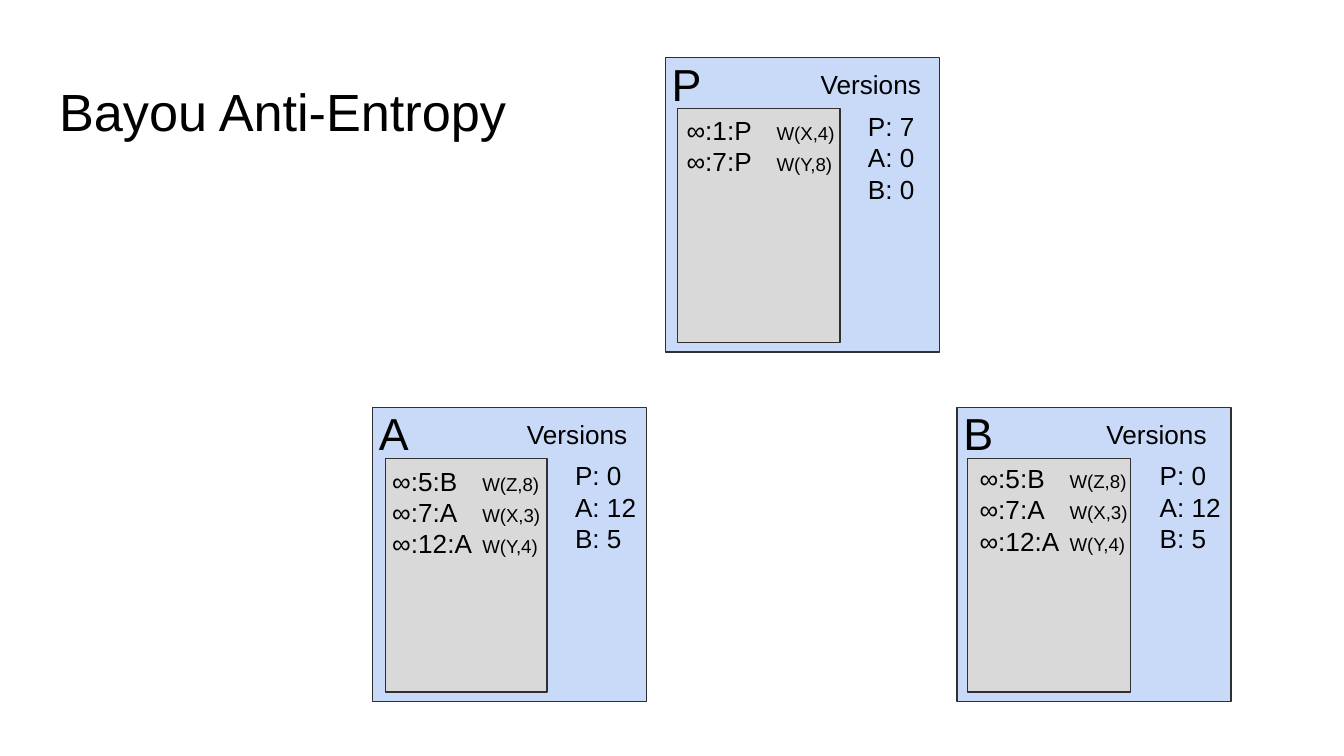
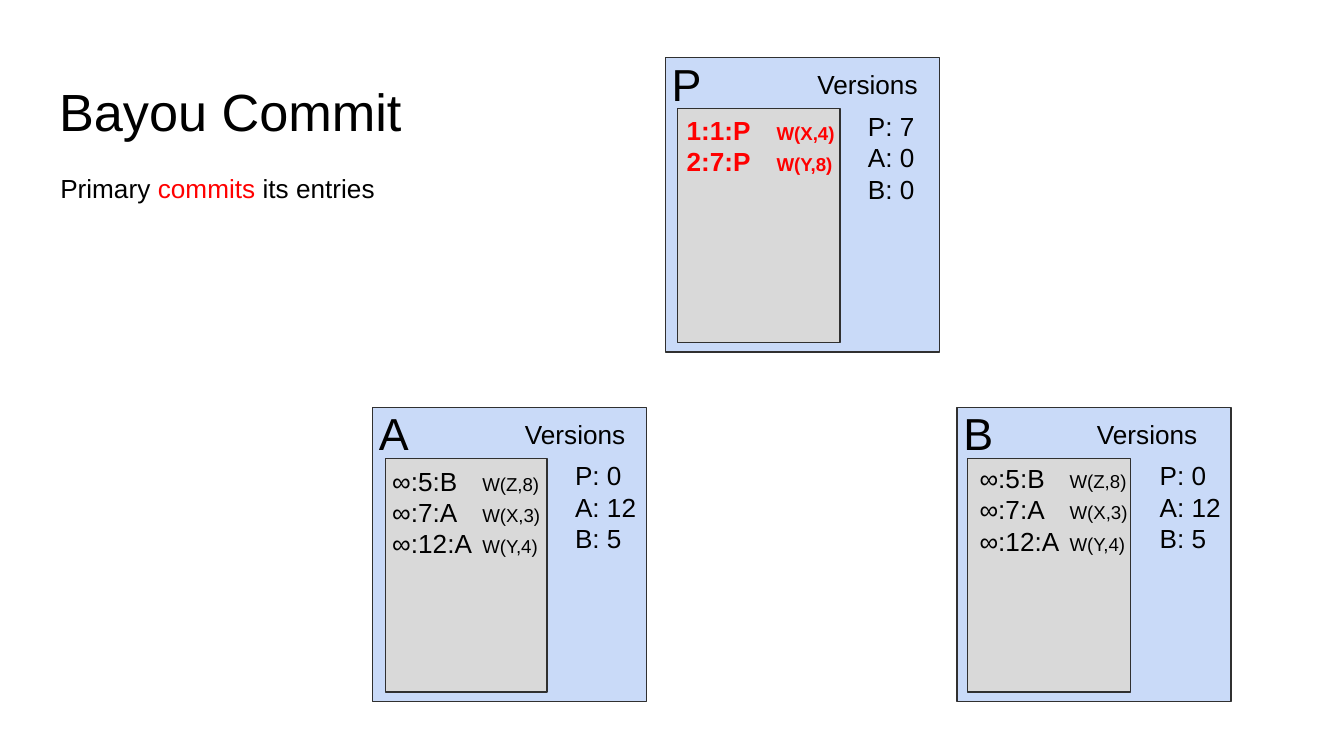
from dataclasses import dataclass

from lxml import etree
from pptx import Presentation
from pptx import util as u
from pptx.dml import color as c
from pptx.enum import shapes, text
from pptx.oxml import ns

FONT = "Arial"
BLACK, RED = "000000", "FF0000"
NODE_FILL, LOG_FILL, OUTLINE = "C9DAF8", "D9D9D9", "303030"
SLIDE_WIDTH = u.Inches(10)
SLIDE_HEIGHT = SLIDE_WIDTH * 9 // 16
MARGIN = u.Inches(0.1)
WRITE_TAB = u.Inches(0.67)
FRAME = {
    "word_wrap": True,
    "auto_size": text.MSO_AUTO_SIZE.NONE,
    "vertical_anchor": text.MSO_ANCHOR.TOP,
    "margin_left": MARGIN,
    "margin_top": MARGIN,
    "margin_right": MARGIN,
    "margin_bottom": MARGIN,
}


@dataclass(frozen=True)
class Run:
    text: str
    size: float = 14
    color: str = BLACK
    bold: bool = False


@dataclass(frozen=True)
class Node:
    """A replica, with the log and entries placed relative to its corner."""
    name: str
    left: float
    top: float
    log_dx: float
    log_width: float
    entries_dx: float
    entries_dy: float
    versions: tuple[str, ...]


@dataclass(frozen=True)
class NodeState:
    label_width: float
    entries: tuple[tuple[str, str], ...]
    committed: bool = False


@dataclass(frozen=True)
class Page:
    title: str
    states: tuple[NodeState, ...]
    note: tuple[Run, ...] = ()


NODES = (
    Node("P", 4.95, 0.43, 0.09, 1.21, 0.06, 0.32, ("P: 7", "A: 0", "B: 0")),
    Node("A", 2.77, 3.03, 0.10, 1.20, 0.05, 0.33, ("P: 0", "A: 12", "B: 5")),
    Node("B", 7.12, 3.03, 0.08, 1.21, 0.07, 0.31, ("P: 0", "A: 12", "B: 5")),
)
TENTATIVE = (("∞:1:P", "W(X,4)"), ("∞:7:P", "W(Y,8)"))
COMMITTED = (("1:1:P", "W(X,4)"), ("2:7:P", "W(Y,8)"))
SHARED = (("∞:5:B", "W(Z,8)"), ("∞:7:A", "W(X,3)"), ("∞:12:A", "W(Y,4)"))

PAGES = (
    Page("Bayou Anti-Entropy", (
        NodeState(1.06, TENTATIVE),
        NodeState(1.07, SHARED),
        NodeState(1.15, SHARED),
    )),
    Page("Bayou Commit", (
        NodeState(1.11, COMMITTED, committed=True),
        NodeState(1.10, SHARED),
        NodeState(1.29, SHARED),
    ), (Run("Primary "), Run("commits", color=RED), Run(" its entries"))),
)


def rgb(color: str) -> c.RGBColor:
    return c.RGBColor.from_string(color)


def place(sp, left: float, top: float, width: float, height: float) -> None:
    box = {"left": left, "top": top, "width": width, "height": height}
    for name, value in box.items():
        setattr(sp, name, u.Inches(value))


def write(tf, lines, align=text.PP_ALIGN.LEFT, **frame) -> None:
    """Fill a text frame with one paragraph for each sequence of runs."""
    for name, value in {**FRAME, **frame}.items():
        setattr(tf, name, value)
    for i, runs in enumerate(lines):
        p = tf.add_paragraph() if i else tf.paragraphs[0]
        p.alignment = align
        for run in runs:
            r = p.add_run()
            r.text = run.text
            style = {"name": FONT, "size": u.Pt(run.size), "bold": run.bold}
            for name, value in style.items():
                setattr(r.font, name, value)
            r.font.color.rgb = rgb(run.color)


def add_text(parent, box: tuple[float, ...], lines, **fmt):
    sp = parent.add_textbox(*map(u.Inches, box))
    write(sp.text_frame, lines, **fmt)
    return sp


def add_panel(parent, box: tuple[float, ...], fill: str) -> None:
    sp = parent.add_shape(shapes.MSO_SHAPE.RECTANGLE, *map(u.Inches, box))
    sp.shadow.inherit = False
    sp.fill.solid()
    sp.fill.fore_color.rgb = rgb(fill)
    sp.line.color.rgb = rgb(OUTLINE)
    sp.line.width = u.Pt(0.75)


def add_node(slide, node: Node, state: NodeState) -> None:
    x, y = node.left, node.top
    group = slide.shapes.add_group_shape().shapes
    add_panel(group, (x, y, 2.04, 2.19), NODE_FILL)
    add_panel(group, (x + node.log_dx, y + 0.38, node.log_width, 1.74), LOG_FILL)
    add_text(group, (x + 1.41, y + 0.29, 0.72, 0.86),
             [[Run(version)] for version in node.versions])
    width = state.label_width
    add_text(group, (x + 2.06 - width, y - 0.02, width, 0.36),
             [[Run("Versions")]], align=text.PP_ALIGN.CENTER)
    add_text(group, (x - 0.05, y - 0.11, 0.46, 0.53), [[Run(node.name, 24)]])


def add_entries(slide, node: Node, state: NodeState) -> None:
    """Write the log, with its write operations lined up at a tab stop."""
    color = RED if state.committed else BLACK
    lines = [(Run(stamp, 14, color, state.committed),
              Run("\t" + operation, 10, color, state.committed))
             for stamp, operation in state.entries]
    box = (node.left + node.entries_dx, node.top + node.entries_dy, 1.31, 1.57)
    sp = add_text(slide.shapes, box, lines, margin_right=0)
    for p in sp.text_frame.paragraphs:
        tabs = etree.SubElement(p._p.get_or_add_pPr(), ns.qn("a:tabLst"))
        etree.SubElement(tabs, ns.qn("a:tab"), pos=str(WRITE_TAB), algn="l")


def add_page(prs, page: Page) -> None:
    slide = prs.slides.add_slide(prs.slide_layouts[5])
    title = slide.shapes.title
    place(title, 0.34, 0.49, 3.61, 0.63)
    write(title.text_frame, [[Run(page.title, 28)]])
    for node, state in zip(NODES, page.states):
        add_node(slide, node, state)
    if page.note:
        add_text(slide.shapes, (0.35, 1.18, 3.85, 0.72), [page.note])
    for node, state in zip(NODES, page.states):
        add_entries(slide, node, state)


def main() -> None:
    prs = Presentation()
    prs.slide_width, prs.slide_height = SLIDE_WIDTH, SLIDE_HEIGHT
    for page in PAGES:
        add_page(prs, page)
    prs.save("out.pptx")


if __name__ == "__main__":
    main()
